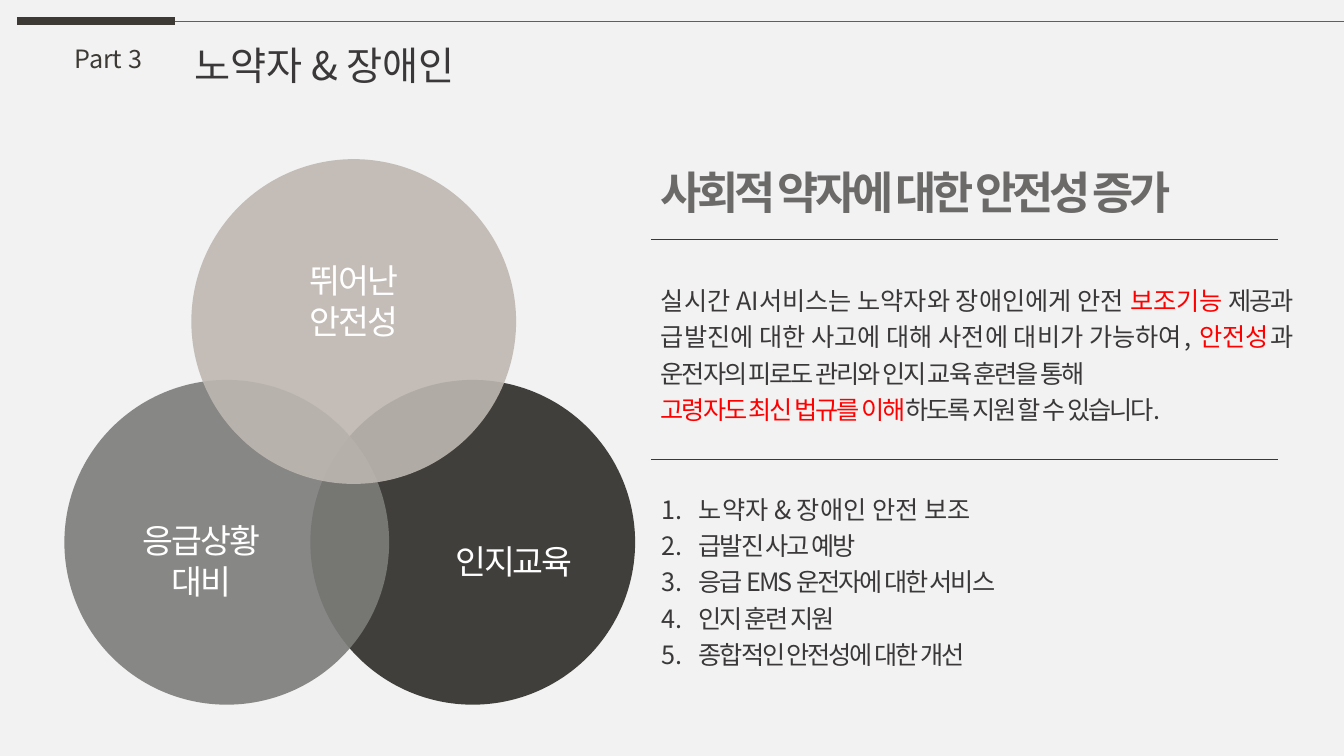
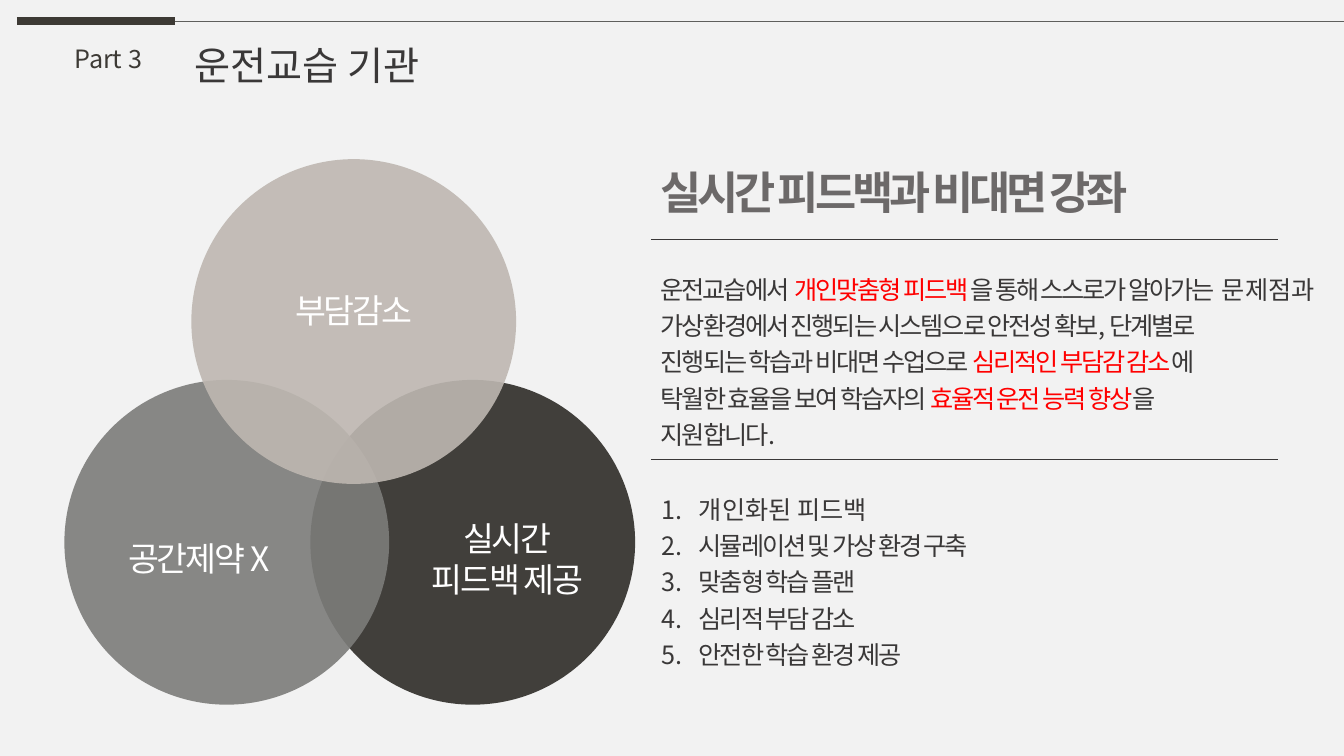
"""Build two slides on driving safety and driving schools, each with three overlapping circles."""
from dataclasses import dataclass
from typing import NamedTuple

from lxml import etree
from pptx import Presentation
from pptx import util as u
from pptx.dml.color import RGBColor
from pptx.enum import shapes, text
from pptx.oxml import ns

FONT = "Noto Sans CJK KR"
PAPER, BAND, HAIRLINE = "F2F2F2", "3D3A35", "5F5F5D"
INK, HEADING, ACCENT, WHITE = "3A3838", "6C6969", "FF0000", "FFFFFF"
TIGHT, TIGHTER = -1.5, -3
COLUMN_LEFT, COLUMN_RIGHT = 465, 913
SLIDE_WIDTH, SLIDE_HEIGHT = 960, 540
BAND_TOP, BAND_SPLIT = 15, 125
DIAMETER = 232
LEFT, CENTER, JUSTIFY = text.PP_ALIGN.LEFT, text.PP_ALIGN.CENTER, text.PP_ALIGN.JUSTIFY


class Run(NamedTuple):
    words: str
    spacing: float = 0
    color: str = INK


class Box(NamedTuple):
    left: float
    top: float
    width: float
    height: float


class Circle(NamedTuple):
    center_x: float
    center_y: float
    color: str


@dataclass
class Label:
    words: str
    center_x: float
    center_y: float
    width: float


@dataclass
class Topic:
    title: str
    title_width: float
    heading: str
    heading_width: float
    labels: list[Label]
    description: list[list[Run]]
    description_box: Box
    benefits: list[str]


CIRCLES = [
    Circle(337.7, 387.4, "2E2C28"),
    Circle(162, 387.4, "7C7C7A"),
    Circle(252.7, 229.7, "BEB7B1"),
]

TOPICS = [
    Topic(
        "노약자 & 장애인", 225.4, "사회적 약자에 대한 안전성 증가", 424.8,
        [Label("응급상황\n대비", 144, 400.7, 105),
         Label("인지교육", 367.2, 401, 105),
         Label("뛰어난\n안전성", 253, 215, 83)],
        [[Run("실시간 AI서비스는 노약자와 장애인에게 안전 "),
          Run("보조기능 ", color=ACCENT),
          Run("제공과 급발진에 대한 사고에 대해 사전에 대비가 가능하여, ", TIGHT),
          Run("안전성", TIGHT, ACCENT),
          Run("과 운전자의 피로도 관리와 인지 교육 훈련을 통해 ", TIGHT)],
         [Run("고령자도 최신 법규를 이해", TIGHT, ACCENT),
          Run("하도록 지원 할 수 있습니다.", TIGHT)]],
        Box(COLUMN_LEFT, 196, 465, 109),
        ["노약자 & 장애인 안전 보조", "급발진 사고 예방", "응급 EMS 운전자에 대한 서비스",
         "인지 훈련 지원", "종합적인 안전성에 대한 개선"],
    ),
    Topic(
        "운전교습 기관", 193.7, "실시간 피드백과 비대면 강좌", 388.8,
        [Label("공간제약 X", 142.2, 399, 124.6),
         Label("실시간\n피드백 제공", 362.5, 399.2, 134.6),
         Label("부담감소", 252.7, 221.8, 105)],
        [[Run("운전교습에서 ", TIGHTER),
          Run("개인맞춤형 피드백", TIGHTER, ACCENT),
          Run("을 통해 스스로가 알아가는", TIGHTER),
          Run(" 문제점과 가상환경에서 진행되는 시스템으로 안전성 확보, 단계별로 ", TIGHT)],
         [Run("진행되는 학습과 비대면 수업으로 ", TIGHT),
          Run("심리적인 부담감 감소", TIGHT, ACCENT),
          Run("에", TIGHT)],
         [Run("탁월한 효율을 보여 학습자의 ", TIGHT),
          Run("효율적 운전 능력 향상", TIGHT, ACCENT),
          Run("을 ", TIGHT)],
         [Run("지원합니다.", TIGHT)]],
        Box(COLUMN_LEFT, 188, 479.5, 138),
        ["개인화된 피드백", "시뮬레이션 및 가상 환경 구축", "맞춤형 학습 플랜",
         "심리적 부담 감소", "안전한 학습 환경 제공"],
    ),
]


def rgb(color: str) -> RGBColor:
    return RGBColor.from_string(color)


def lengths(box: Box) -> list[u.Length]:
    return [u.Pt(length) for length in box]


def place(placeholder, box: Box) -> None:
    placeholder.left, placeholder.top, placeholder.width, placeholder.height = lengths(box)


def number(paragraph) -> None:
    properties = paragraph._p.get_or_add_pPr()
    properties.set("marL", str(u.Pt(27)))
    properties.set("indent", str(-u.Pt(27)))
    etree.SubElement(properties, ns.qn("a:buFont"), typeface=FONT)
    etree.SubElement(properties, ns.qn("a:buAutoNum"), type="arabicPeriod")


def write(shape, paragraphs: list[list[Run]], *, size: float = 18, bold: bool = False,
          align=LEFT, leading: float = 1, wrap: bool = False, numbered: bool = False) -> None:
    frame = shape.text_frame
    frame.word_wrap = wrap
    frame.auto_size = text.MSO_AUTO_SIZE.SHAPE_TO_FIT_TEXT
    frame.vertical_anchor = text.MSO_ANCHOR.TOP
    for index, runs in enumerate(paragraphs):
        paragraph = frame.add_paragraph() if index else frame.paragraphs[0]
        paragraph.alignment = align
        paragraph.line_spacing = leading
        paragraph.space_before = u.Pt(0)
        if numbered:
            number(paragraph)
        for words, spacing, color in runs:
            run = paragraph.add_run()
            run.text = words
            run.font.size, run.font.bold, run.font.name = u.Pt(size), bold, FONT
            run.font.color.rgb = rgb(color)
            properties = run._r.get_or_add_rPr()
            properties.set("spc", str(round(spacing * 100)))
            etree.SubElement(properties, ns.qn("a:ea"), typeface=FONT)


def add_text(container, box: Box, paragraphs: list[list[Run]], **formatting) -> None:
    write(container.add_textbox(*lengths(box)), paragraphs, **formatting)


def add_rule(slide, left: float, right: float, top: float, color: str, weight: float) -> None:
    ends = [u.Pt(length) for length in (left, top, right, top)]
    rule = slide.shapes.add_connector(shapes.MSO_CONNECTOR.STRAIGHT, *ends)
    rule.line.color.rgb = rgb(color)
    rule.line.width = u.Pt(weight)
    etree.SubElement(rule._element.spPr, ns.qn("a:effectLst"))


def add_circle(container, circle: Circle) -> None:
    box = Box(circle.center_x - DIAMETER / 2, circle.center_y - DIAMETER / 2, DIAMETER, DIAMETER)
    disc = container.add_shape(shapes.MSO_SHAPE.OVAL, *lengths(box))
    disc.shadow.inherit = False
    disc.line.fill.background()
    disc.fill.solid()
    disc.fill.fore_color.rgb = rgb(circle.color)
    tint = disc._element.spPr.find(ns.qn("a:solidFill")).find(ns.qn("a:srgbClr"))
    etree.SubElement(tint, ns.qn("a:alpha"), val="90000")


def add_label(container, label: Label) -> None:
    lines = label.words.split("\n")
    height = 7.2 + 29 * len(lines)
    box = Box(label.center_x - label.width / 2, label.center_y - height / 2, label.width, height)
    add_text(container, box, [[Run(line, TIGHT, WHITE)] for line in lines], size=24, align=CENTER)


def add_header(slide, topic: Topic) -> None:
    add_rule(slide, 12, BAND_SPLIT, BAND_TOP, BAND, 6)
    add_rule(slide, BAND_SPLIT, SLIDE_WIDTH, BAND_TOP, HAIRLINE, 0.5)
    add_text(slide.shapes, Box(46, 27.4, 66.2, 29), [[Run("Part 3", color=BAND)]])
    title = slide.shapes.title
    place(title, Box(131.8, 25.9, topic.title_width, 41))
    write(title, [[Run(topic.title)]], size=28)


def add_topic(deck, topic: Topic) -> None:
    slide = deck.slides.add_slide(deck.slide_layouts[1])
    add_header(slide, topic)
    venn = slide.shapes.add_group_shape().shapes
    for circle in CIRCLES:
        add_circle(venn, circle)
    for label in topic.labels:
        add_label(venn, label)
    add_text(slide.shapes, Box(COLUMN_LEFT, 113.8, topic.heading_width, 46),
             [[Run(topic.heading, TIGHTER, HEADING)]], size=32, bold=True)
    add_text(slide.shapes, topic.description_box, topic.description,
             align=JUSTIFY, leading=1.2, wrap=True)
    for top in (170.8, 328.3):
        add_rule(slide, COLUMN_LEFT, COLUMN_RIGHT, top, INK, 0.5)
    benefits = slide.placeholders[1]
    place(benefits, Box(COLUMN_LEFT, 345, 415, 138))
    write(benefits, [[Run(words, TIGHT if index else 0)] for index, words in enumerate(topic.benefits)],
          align=JUSTIFY, leading=1.2, wrap=True, numbered=True)


def main() -> None:
    deck = Presentation()
    deck.slide_width, deck.slide_height = u.Pt(SLIDE_WIDTH), u.Pt(SLIDE_HEIGHT)
    backdrop = deck.slide_master.background.fill
    backdrop.solid()
    backdrop.fore_color.rgb = rgb(PAPER)
    for topic in TOPICS:
        add_topic(deck, topic)
    deck.save("out.pptx")


if __name__ == "__main__":
    main()
